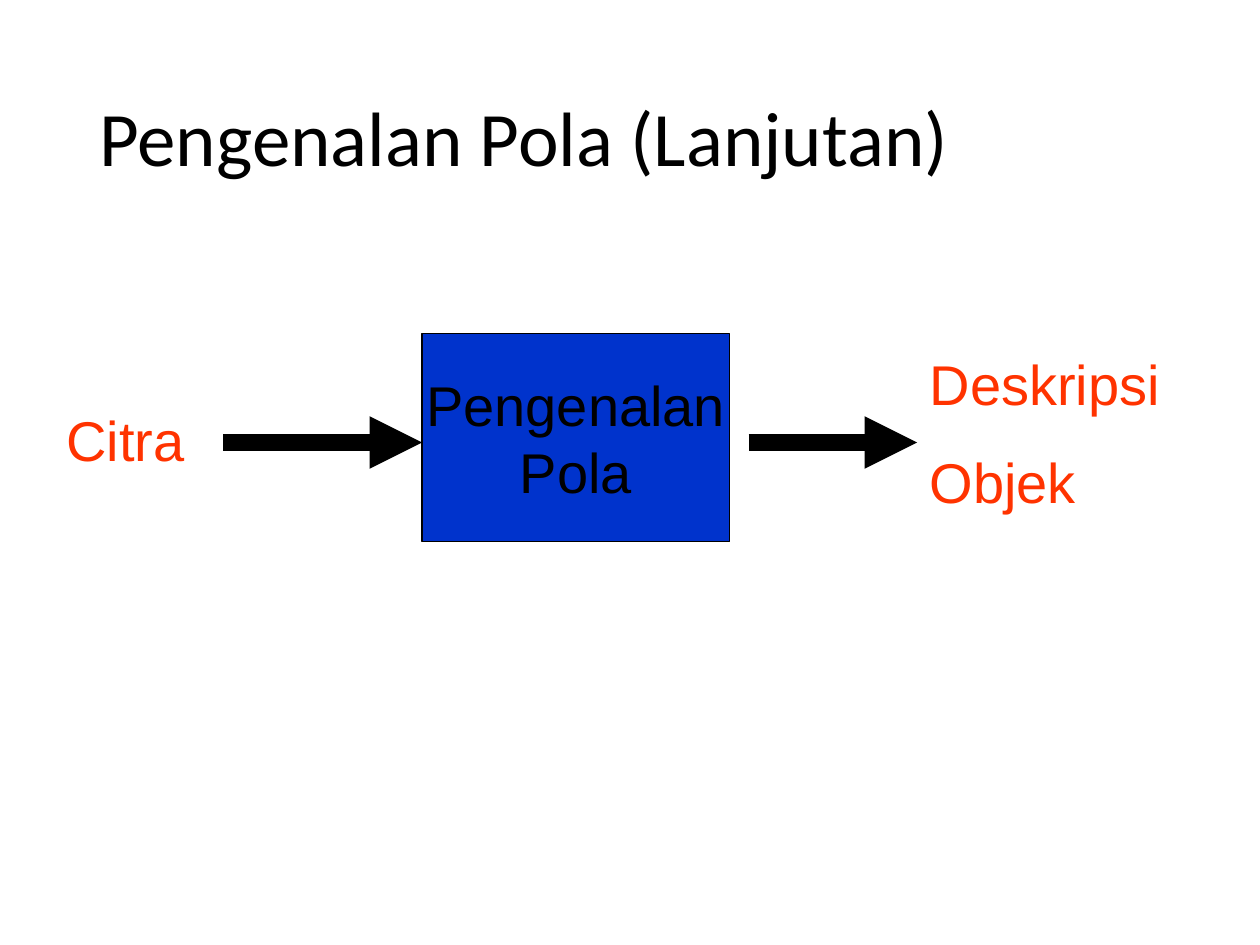
from dataclasses import dataclass

from lxml import etree
from pptx import Presentation
from pptx.dml.color import RGBColor
from pptx.enum import shapes, text
from pptx.oxml import ns
from pptx.util import Cm, Pt


@dataclass(frozen=True)
class Theme:
    ink: RGBColor = RGBColor.from_string("000000")
    accent: RGBColor = RGBColor.from_string("FF3300")
    block: RGBColor = RGBColor.from_string("0033CC")
    heading_font: str = "Calibri"
    body_font: str = "Arial"
    heading_size: int = 44
    body_size: int = 32
    gap: float = 17.5


THEME = Theme()
FLOW_Y = 8.92  # height of both arrows


def write(shape, words, *, color=THEME.ink, font=THEME.body_font,
          size=THEME.body_size, align=text.PP_ALIGN.LEFT,
          anchor=text.MSO_ANCHOR.TOP, wrap=True, before=0, spacing=1.0):
    """Fill a shape with one paragraph per line of words."""
    frame = shape.text_frame
    frame.text = words
    frame.word_wrap = wrap
    frame.vertical_anchor = anchor
    for para in frame.paragraphs:
        para.alignment = align
        para.space_before = Pt(before)
        para.line_spacing = spacing
        for span in para.runs:
            span.font.name = font
            span.font.size = Pt(size)
            span.font.color.rgb = color


def add_title(page, words):
    title = page.shapes.title
    title.left, title.top = Cm(1.75), Cm(1.02)
    title.width, title.height = Cm(21.89), Cm(3.68)
    write(title, words, font=THEME.heading_font, size=THEME.heading_size,
          anchor=text.MSO_ANCHOR.MIDDLE, spacing=0.9)


def add_label(page, words, left, top, width, height, wrap=True):
    label = page.shapes.add_textbox(Cm(left), Cm(top), Cm(width), Cm(height))
    write(label, words, color=THEME.accent, wrap=wrap, before=THEME.gap)
    label.text_frame.auto_size = text.MSO_AUTO_SIZE.SHAPE_TO_FIT_TEXT


def add_process(page, words, left, top, width, height):
    box = page.shapes.add_shape(shapes.MSO_SHAPE.RECTANGLE, Cm(left), Cm(top),
                                Cm(width), Cm(height))
    box.shadow.inherit = False
    box.fill.solid()
    box.fill.fore_color.rgb = THEME.block
    box.line.color.rgb = THEME.ink
    box.line.width = Pt(0.75)
    write(box, words, align=text.PP_ALIGN.CENTER,
          anchor=text.MSO_ANCHOR.MIDDLE, wrap=False)


def add_arrow(page, start, end):
    arrow = page.shapes.add_connector(shapes.MSO_CONNECTOR.STRAIGHT, Cm(start),
                                      Cm(FLOW_Y), Cm(end), Cm(FLOW_Y))
    arrow.line.color.rgb = THEME.ink
    arrow.line.width = Pt(10)
    etree.SubElement(arrow.line._get_or_add_ln(), ns.qn("a:tailEnd"),
                     type="triangle")
    etree.SubElement(arrow._element.spPr, ns.qn("a:effectLst"))


def main():
    deck = Presentation()
    deck.slide_width, deck.slide_height = Cm(25.4), Cm(19.05)
    page = deck.slides.add_slide(deck.slide_layouts[5])
    add_title(page, "Pengenalan Pola (Lanjutan)")

    # Input, process and output
    add_label(page, "Citra", 1.09, 8.05, 2.9, 1.6, wrap=False)
    add_process(page, "Pengenalan\nPola", 8.51, 6.73, 6.2, 4.19)
    add_label(page, "Deskripsi\nObjek", 18.49, 6.93, 5.59, 3.63)

    # Flow from left to right
    add_arrow(page, 4.5, 8.51)
    add_arrow(page, 15.09, 18.49)

    deck.save("out.pptx")


if __name__ == "__main__":
    main()
